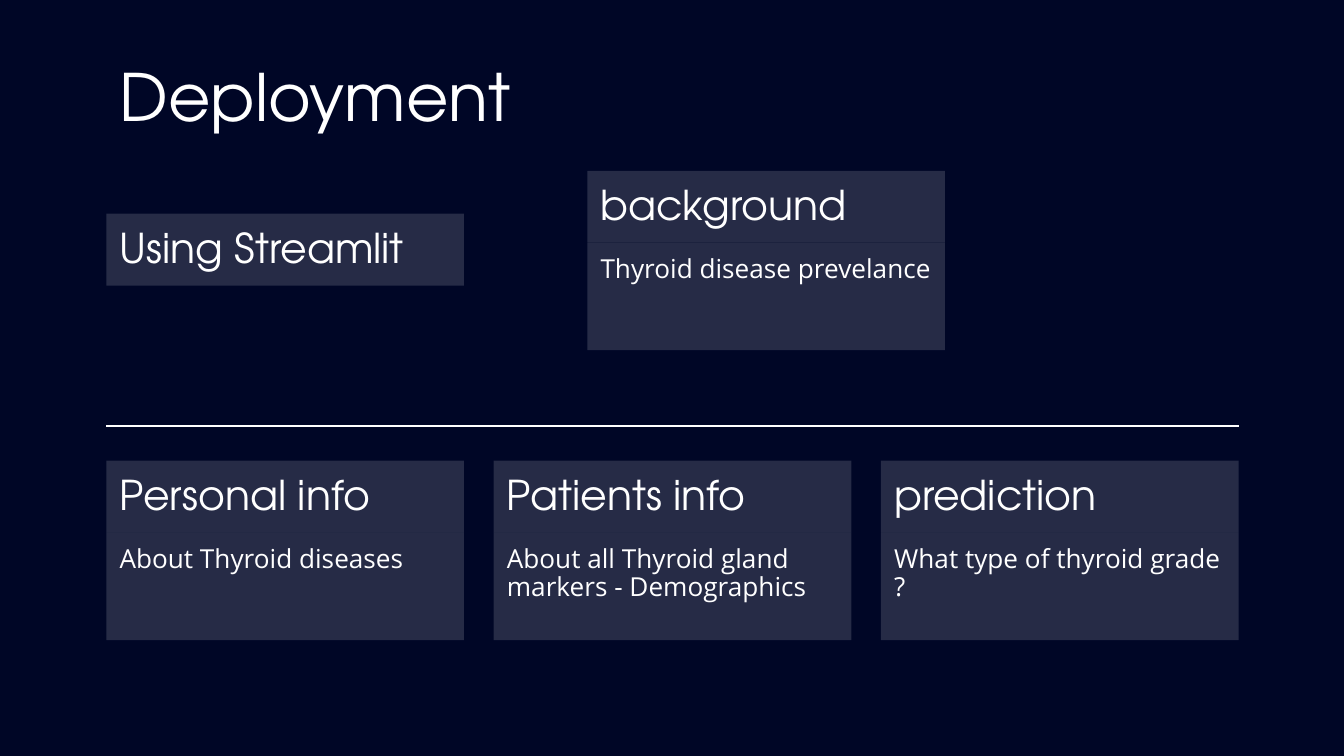
from dataclasses import dataclass

from lxml.etree import SubElement
from pptx import Presentation
from pptx.dml.color import RGBColor
from pptx.enum.shapes import MSO_CONNECTOR, MSO_SHAPE
from pptx.enum.text import MSO_ANCHOR, PP_ALIGN
from pptx.oxml.ns import qn
from pptx.shapes.autoshape import Shape
from pptx.slide import Slide
from pptx.util import Cm, Pt

COLORS = {"background": "000626", "white": "FFFFFF"}
TITLE_FONT = {"name": "TeX Gyre Adventor", "size": Pt(35)}
HEADING_FONT = {"name": "TeX Gyre Adventor", "size": Pt(22)}
BODY_FONT = {"name": "Open Sans", "size": Pt(14)}

LEFT = 2.01
CARD_W, HEADING_H, BODY_H = 6.76, 1.36, 2.03
COLUMN_STEP = 7.32
ROW_TOP = 8.71
CONTENT_W = 2 * COLUMN_STEP + CARD_W


@dataclass
class Card:
    left: float
    top: float
    heading: str
    body: str = ""


CARDS = [
    Card(LEFT, 4.04, "Using Streamlit"),
    Card(11.1, 3.23, "background", "Thyroid disease prevelance"),
]
SECTIONS = [
    ("Personal info", "About Thyroid diseases"),
    ("Patients info", "About all Thyroid gland markers - Demographics"),
    ("prediction", "What type of thyroid grade ?"),
]
CARDS += [
    Card(LEFT + i * COLUMN_STEP, ROW_TOP, heading, body)
    for i, (heading, body) in enumerate(SECTIONS)
]


def rgb(name: str) -> RGBColor:
    return RGBColor.from_string(COLORS[name])


def write(sp: Shape, text: str, font: dict, anchor: MSO_ANCHOR = MSO_ANCHOR.TOP) -> None:
    tf = sp.text_frame
    frame = {"word_wrap": True, "vertical_anchor": anchor}
    frame |= {f"margin_{side}": Cm(0.25) for side in ("left", "top", "right", "bottom")}
    for key, value in frame.items():
        setattr(tf, key, value)
    p = tf.paragraphs[0]
    p.alignment = PP_ALIGN.LEFT
    p.line_spacing = 0.9
    r = p.add_run()
    r.text = text
    for key, value in font.items():
        setattr(r.font, key, value)
    r.font.color.rgb = rgb("white")


def add_panel(s: Slide, left: float, top: float, height: float) -> Shape:
    """Add a borderless white rectangle at 15 % opacity."""
    sp = s.shapes.add_shape(
        MSO_SHAPE.RECTANGLE, Cm(left), Cm(top), Cm(CARD_W), Cm(height)
    )
    sp.shadow.inherit = False
    sp.line.fill.background()
    sp.fill.solid()
    sp.fill.fore_color.rgb = rgb("white")
    color = sp.fill._xPr.find(qn("a:solidFill"))[0]
    SubElement(color, qn("a:alpha"), val="15000")
    return sp


def add_card(s: Slide, card: Card) -> None:
    heading = add_panel(s, card.left, card.top, HEADING_H)
    write(heading, card.heading, HEADING_FONT, MSO_ANCHOR.BOTTOM)
    if card.body:
        body = add_panel(s, card.left, card.top + HEADING_H, BODY_H)
        write(body, card.body, BODY_FONT)


def add_divider(s: Slide, top: float) -> None:
    line = s.shapes.add_connector(
        MSO_CONNECTOR.STRAIGHT, Cm(LEFT), Cm(top), Cm(LEFT + CONTENT_W), Cm(top)
    )
    line.line.color.rgb = rgb("white")
    line.line.width = Pt(0.75)
    SubElement(line._element.spPr, qn("a:effectLst"))


def main() -> None:
    prs = Presentation()
    prs.slide_width, prs.slide_height = Cm(25.4), Cm(14.29)
    s = prs.slides.add_slide(prs.slide_layouts[6])
    s.background.fill.solid()
    s.background.fill.fore_color.rgb = rgb("background")

    title = s.shapes.add_textbox(Cm(LEFT), Cm(0.99), Cm(CONTENT_W), Cm(1.6))
    write(title, "Deployment", TITLE_FONT)
    for card in CARDS:
        add_card(s, card)
    add_divider(s, 8.05)

    prs.save("out.pptx")


if __name__ == "__main__":
    main()
